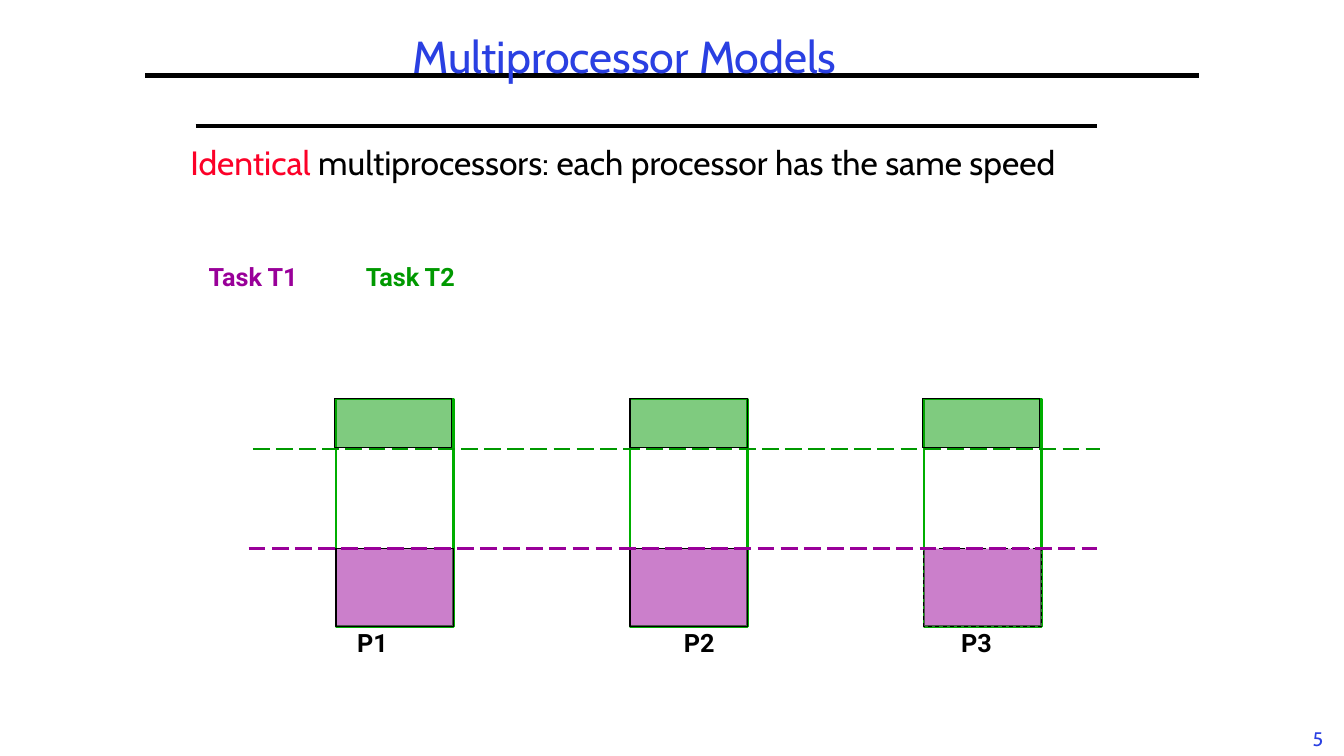
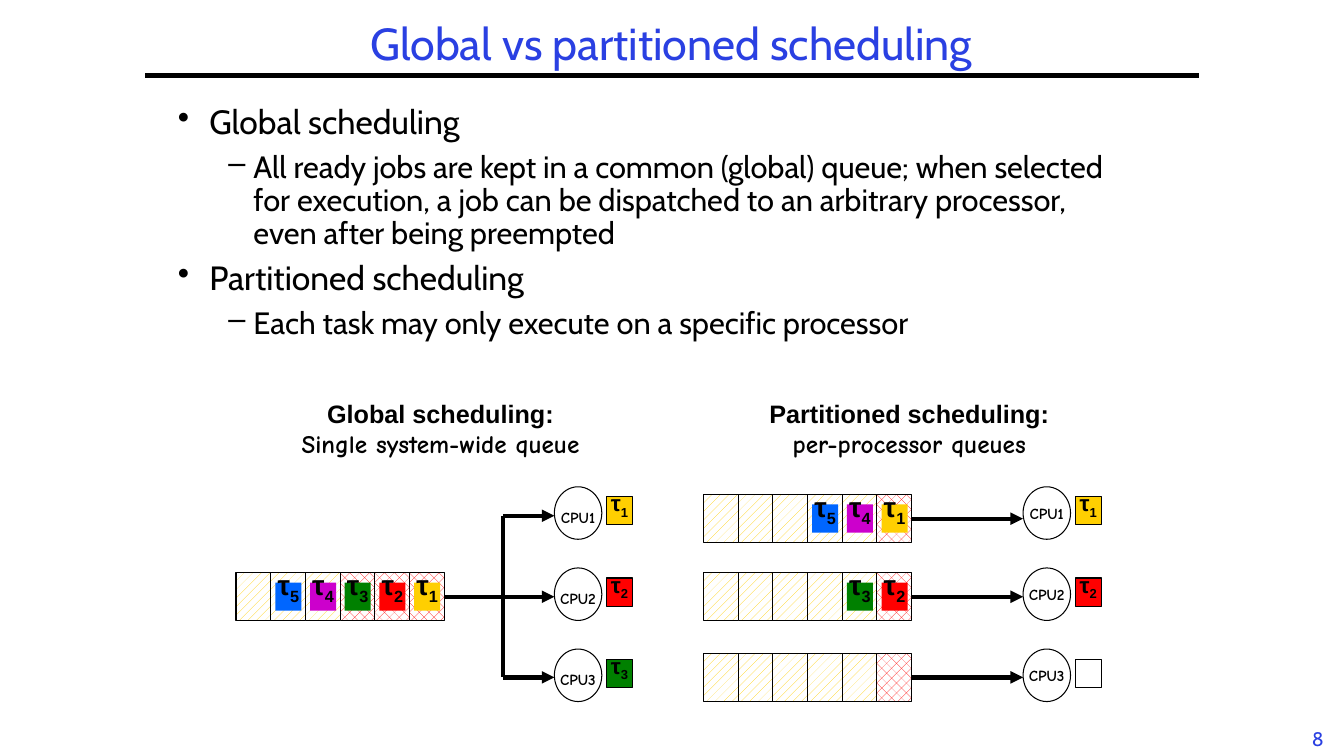
from dataclasses import dataclass
from typing import Optional

from lxml import etree
from pptx import Presentation
from pptx.dml.color import RGBColor
from pptx.enum.dml import MSO_LINE, MSO_PATTERN
from pptx.enum.shapes import MSO_CONNECTOR, MSO_SHAPE
from pptx.enum.text import MSO_ANCHOR, PP_ALIGN
from pptx.oxml.ns import qn
from pptx.shapes.autoshape import Shape
from pptx.slide import Slide
from pptx.util import Emu, Pt

RECTANGLE, ELLIPSE = MSO_SHAPE.RECTANGLE, MSO_SHAPE.OVAL
STRAIGHT = MSO_CONNECTOR.STRAIGHT
DASH, LONG_DASH = MSO_LINE.DASH, MSO_LINE.LONG_DASH
LIGHT_DOTS, DENSE_DOTS = MSO_PATTERN.PERCENT_20, MSO_PATTERN.PERCENT_30
TOP, MIDDLE, BOTTOM = MSO_ANCHOR.TOP, MSO_ANCHOR.MIDDLE, MSO_ANCHOR.BOTTOM
LEFT, CENTER = PP_ALIGN.LEFT, PP_ALIGN.CENTER

COLUMNS, ROWS = 160, 90
GRID_UNIT = 76200

BLACK, WHITE, BLUE = "000000", "FFFFFF", "2A40E2"
RED, PURPLE, GREEN, FRAME_GREEN = "FC0128", "990099", "009900", "00AE00"
QUEUE_YELLOW, QUEUE_RED = "FFCF01", "FF0000"
JOB_COLORS = {1: "FFCF01", 2: "FF0000", 3: "008000", 4: "CC00CC", 5: "0066FF"}
BODY_FONT, LABEL_FONT, JOB_FONT, NOTE_FONT = "Cabin", "Roboto", "Arial", "Comic Neue"

CELL_COUNT, CELL_WIDTH, CELL_HEIGHT = 6, 4.13, 5.7
JOB_WIDTH, JOB_HEIGHT = 3.1, 3.35
CPU_TOP, CPU_PITCH, CPU_WIDTH, CPU_HEIGHT = 57.95, 9.66, 5.65, 6.25


@dataclass(frozen=True)
class Box:
    left: float
    top: float
    width: float
    height: float


@dataclass(frozen=True)
class TextRun:
    text: str
    size: float
    font: str = BODY_FONT
    color: str = BLACK
    bold: bool = False
    baseline: int = 0


@dataclass(frozen=True)
class TextLine:
    runs: tuple[TextRun, ...]
    align: PP_ALIGN = CENTER
    spacing: float = 1.0
    before: float = 0
    level: int = 0
    bullet: str = ""


@dataclass(frozen=True)
class Queue:
    left: float
    top: float
    jobs: tuple[int, ...]
    ready_cells: int


@dataclass(frozen=True)
class CpuGroup:
    left: float
    anchor: MSO_ANCHOR
    jobs: tuple[int, ...]


def grid(units: float) -> Emu:
    return Emu(round(units * GRID_UNIT))


def rgb(color: str) -> RGBColor:
    return RGBColor.from_string(color)


def write(shape: Shape, lines: list[TextLine], anchor: MSO_ANCHOR, wrap: bool) -> None:
    frame = shape.text_frame
    frame.word_wrap = wrap
    frame.vertical_anchor = anchor
    for index, line in enumerate(lines):
        paragraph = frame.add_paragraph() if index else frame.paragraphs[0]
        paragraph.alignment = line.align
        paragraph.line_spacing = line.spacing
        paragraph.space_before = Pt(line.before)
        if line.bullet:
            paragraph.level = line.level
            margin, indent = ((3.75, -3.75), (9, -3))[line.level]
            properties = paragraph._p.get_or_add_pPr()
            properties.set("marL", str(grid(margin)))
            properties.set("indent", str(grid(indent)))
            etree.SubElement(properties, qn("a:buChar")).set("char", line.bullet)
        for text_run in line.runs:
            run = paragraph.add_run()
            run.text = text_run.text
            run.font.size = Pt(text_run.size)
            run.font.name = text_run.font
            run.font.bold = text_run.bold
            run.font.color.rgb = rgb(text_run.color)
            if text_run.baseline:
                run.font._element.set("baseline", str(text_run.baseline * 1000))


def add_text(slide: Slide, box: Box, lines: list[TextLine],
             anchor: MSO_ANCHOR = TOP, wrap: bool = False) -> None:
    shape = slide.shapes.add_textbox(
        grid(box.left), grid(box.top), grid(box.width), grid(box.height))
    write(shape, lines, anchor, wrap)


def add_shape(slide: Slide, box: Box, fill: Optional[str] = None, line: Optional[str] = BLACK,
              weight: float = 0.75, kind: MSO_SHAPE = RECTANGLE,
              pattern: Optional[MSO_PATTERN] = None, alpha: int = 100,
              dash: Optional[MSO_LINE] = None) -> Shape:
    shape = slide.shapes.add_shape(
        kind, grid(box.left), grid(box.top), grid(box.width), grid(box.height))
    shape.shadow.inherit = False
    if fill is None:
        shape.fill.background()
    elif pattern is not None:
        shape.fill.patterned()
        shape.fill.pattern = pattern
        shape.fill.fore_color.rgb = rgb(fill)
        shape.fill.back_color.rgb = rgb(WHITE)
    else:
        shape.fill.solid()
        shape.fill.fore_color.rgb = rgb(fill)
        if alpha < 100:
            color = shape._element.spPr.find(qn("a:solidFill"))[0]
            etree.SubElement(color, qn("a:alpha")).set("val", str(alpha * 1000))
    if line is None:
        shape.line.fill.background()
    else:
        shape.line.color.rgb = rgb(line)
        shape.line.width = Pt(weight)
        if dash is not None:
            shape.line.dash_style = dash
    return shape


def add_line(slide: Slide, start: tuple[float, float], end: tuple[float, float],
             color: str = BLACK, weight: float = 3, dash: Optional[MSO_LINE] = None,
             arrow: bool = False) -> None:
    connector = slide.shapes.add_connector(STRAIGHT, *map(grid, start + end))
    connector.line.color.rgb = rgb(color)
    connector.line.width = Pt(weight)
    if dash is not None:
        connector.line.dash_style = dash
    if arrow:
        etree.SubElement(connector.line._get_or_add_ln(), qn("a:tailEnd")).set("type", "triangle")
    etree.SubElement(connector._element.spPr, qn("a:effectLst"))


def add_slide(presentation: Presentation, title: str, title_box: Box, number: str) -> Slide:
    slide = presentation.slides.add_slide(presentation.slide_layouts[6])
    add_text(slide, Box(154.3, 86, 5.2, 4), [TextLine((TextRun(number, 14, color=BLUE),))])
    add_line(slide, (17.3, 9), (142.7, 9))
    add_text(slide, title_box,
             [TextLine((TextRun(title, 32, color=BLUE),), spacing=0.9)], MIDDLE, True)
    return slide


def add_label(slide: Slide, text: str, box: Box, color: str = BLACK) -> None:
    add_text(slide, box, [TextLine((TextRun(text, 18, LABEL_FONT, color, True),), spacing=1.1)])


def add_job(slide: Slide, number: int, left: float, top: float, size: float,
            line: Optional[str] = None) -> None:
    shape = add_shape(slide, Box(left, top, JOB_WIDTH, JOB_HEIGHT), JOB_COLORS[number], line)
    runs = (TextRun("τ", size, JOB_FONT, bold=True),
            TextRun(str(number), size, JOB_FONT, bold=True, baseline=-25))
    write(shape, [TextLine(runs)], BOTTOM, False)


def add_queue(slide: Slide, queue: Queue) -> None:
    for index in range(CELL_COUNT):
        ready = index >= CELL_COUNT - queue.ready_cells
        add_shape(slide, Box(queue.left + index * CELL_WIDTH, queue.top, CELL_WIDTH, CELL_HEIGHT),
                  QUEUE_RED if ready else QUEUE_YELLOW,
                  pattern=DENSE_DOTS if ready else LIGHT_DOTS)
    first_cell = CELL_COUNT - len(queue.jobs)
    for index, job in enumerate(queue.jobs, first_cell):
        add_job(slide, job, queue.left + index * CELL_WIDTH + 0.55, queue.top + 1.15, 20)


def add_cpus(slide: Slide, group: CpuGroup) -> None:
    for index in range(3):
        top = CPU_TOP + index * CPU_PITCH
        cpu = add_shape(slide, Box(group.left, top, CPU_WIDTH, CPU_HEIGHT), WHITE, kind=ELLIPSE)
        label = TextRun(f"CPU{index + 1}", 11, NOTE_FONT, bold=True)
        write(cpu, [TextLine((label,))], group.anchor, False)
        job_left, job_top = group.left + 6.2, top + 1.2
        if index < len(group.jobs):
            add_job(slide, group.jobs[index], job_left, job_top, 16, BLACK)
        else:
            add_shape(slide, Box(job_left, job_top, JOB_WIDTH, JOB_HEIGHT), WHITE)


def add_caption(slide: Slide, box: Box, heading: str, note: str) -> None:
    add_text(slide, box, [TextLine((TextRun(heading, 18, JOB_FONT, bold=True),)),
                          TextLine((TextRun(note, 18, NOTE_FONT, bold=True),))])


def build_models(presentation: Presentation) -> None:
    slide = add_slide(presentation, "Multiprocessor Models", Box(23, 2, 102.7, 10), "5")
    add_text(slide, Box(21.5, 15.1, 118.6, 14), [TextLine((
        TextRun("Identical", 24, color=RED),
        TextRun(" multiprocessors: each processor has the same speed", 24)), LEFT, 1.25)],
        wrap=True)
    add_line(slide, (23.3, 15), (130.6, 15), weight=2.25)
    add_label(slide, "Task T1", Box(23.5, 30.2, 13.3, 4.8), PURPLE)
    add_label(slide, "Task T2", Box(42.2, 30.2, 13.3, 4.8), GREEN)

    frame_lefts, green_lefts = (40, 75, 110), (39.8, 75, 109.8)
    for index, left in enumerate(frame_lefts):
        add_shape(slide, Box(left, 47.5, 14, 27.1), line=FRAME_GREEN, weight=2)
        add_shape(slide, Box(left, 65.3, 14, 9.3), PURPLE, alpha=50,
                  dash=DASH if index == 2 else None)
    add_line(slide, (29.6, 65.3), (130.6, 65.3), PURPLE, 1.5, LONG_DASH)
    for left in green_lefts:
        add_shape(slide, Box(left, 47.5, 14, 5.8), GREEN, alpha=50)
    add_line(slide, (30.1, 53.4), (131, 53.4), GREEN, 1.5, LONG_DASH)
    for number, left in enumerate((41.3, 80.2, 113.2), 1):
        add_label(slide, f"P{number}", Box(left, 73.7, 6.1, 4.8))


def build_scheduling(presentation: Presentation) -> None:
    slide = add_slide(presentation, "Global vs partitioned scheduling",
                      Box(17.3, 2, 125.3, 7), "8")
    bullets = (
        (0, "Global scheduling"),
        (1, "All ready jobs are kept in a common (global) queue; when selected for execution, "
            "a job can be dispatched to an arbitrary processor, even after being preempted"),
        (0, "Partitioned scheduling"),
        (1, "Each task may only execute on a specific processor"),
    )
    add_text(slide, Box(20, 12, 113, 68.4), [
        TextLine((TextRun(text, (24, 22)[level]),), LEFT, 0.9, 7 if index else 0,
                 level, "•–"[level])
        for index, (level, text) in enumerate(bullets)], wrap=True)

    global_cpus = CpuGroup(66, BOTTOM, (1, 2, 3))
    add_cpus(slide, global_cpus)
    trunk, branch_rows = 59.9, (61.4, 71.05, 80.65)
    for start, row in zip((trunk, 52.7, trunk), branch_rows):
        add_line(slide, (start, row), (global_cpus.left, row), arrow=True)
    add_line(slide, (trunk, branch_rows[0]), (trunk, branch_rows[-1]))
    add_queue(slide, Queue(28.1, 68.2, (5, 4, 3, 2, 1), 3))

    local_cpus = CpuGroup(121.8, MIDDLE, (1, 2))
    add_cpus(slide, local_cpus)
    local_queues = (Queue(83.75, 58.9, (5, 4, 1), 1),
                    Queue(83.75, 68.2, (3, 2), 1),
                    Queue(83.75, 77.8, (), 1))
    for queue in local_queues:
        row = queue.top + CELL_HEIGHT / 2
        end = queue.left + CELL_COUNT * CELL_WIDTH
        add_line(slide, (end, row), (local_cpus.left, row), arrow=True)
        add_queue(slide, queue)

    add_caption(slide, Box(31.7, 46.8, 41.5, 8.5),
                "Global scheduling:", "Single system-wide queue")
    add_caption(slide, Box(90.2, 46.8, 36.1, 8.5),
                "Partitioned scheduling:", "per-processor queues")


def main() -> None:
    presentation = Presentation()
    presentation.slide_width, presentation.slide_height = grid(COLUMNS), grid(ROWS)
    build_models(presentation)
    build_scheduling(presentation)
    presentation.save("out.pptx")


if __name__ == "__main__":
    main()
